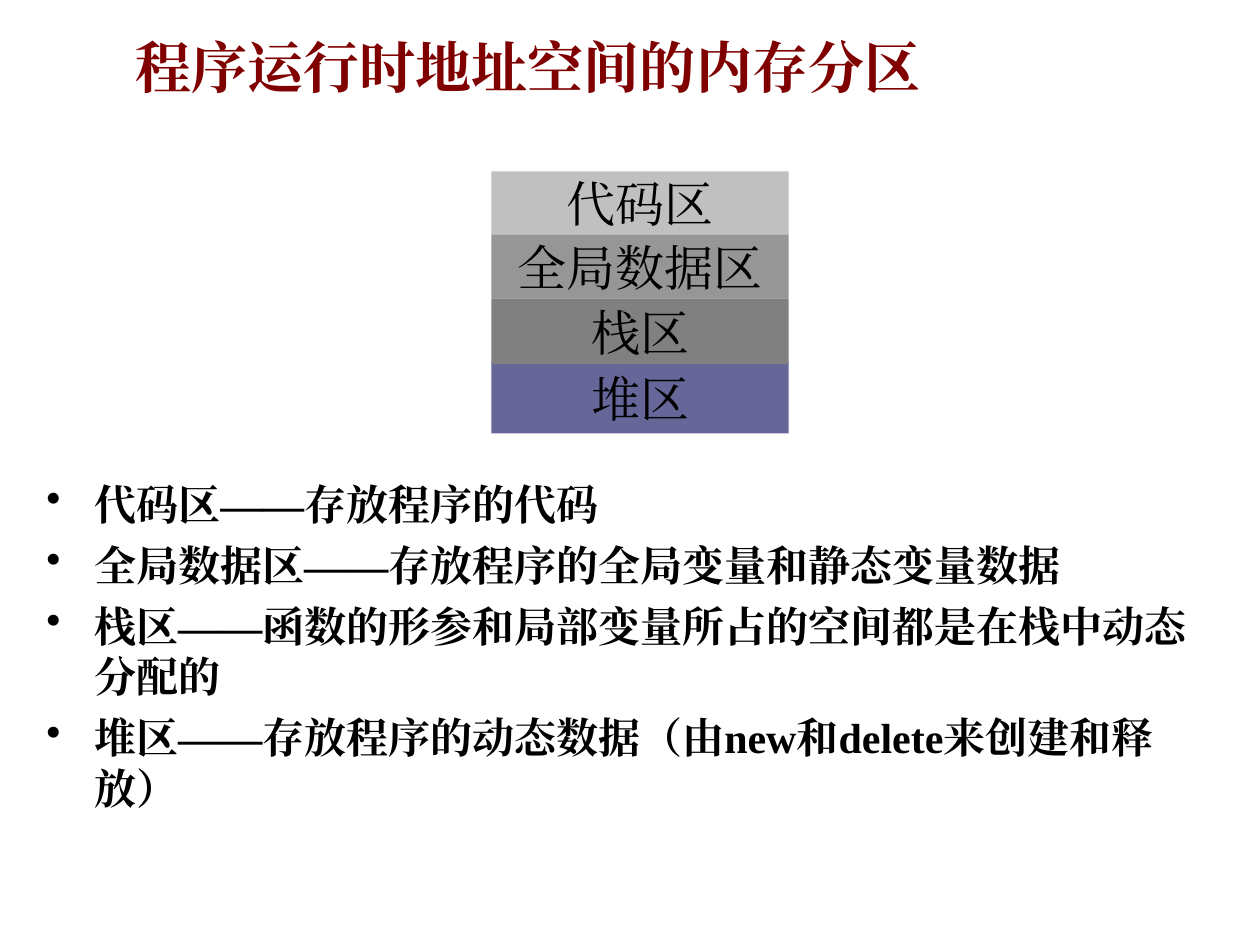
from lxml import etree
from pptx import Presentation
from pptx.dml.color import RGBColor
from pptx.enum.shapes import MSO_SHAPE as SHAPE
from pptx.enum.text import MSO_ANCHOR as ANCHOR, PP_ALIGN as ALIGN
from pptx.oxml.ns import qn
from pptx.util import Inches, Pt

FONT = "Times New Roman"
TITLE = "程序运行时地址空间的内存分区"
REGIONS = [
    ("代码区", 1.36, 0.5, "C0C0C0"),
    ("全局数据区", 1.86, 0.51, "969696"),
    ("堆区", 2.87, 0.57, "666699"),
    ("栈区", 2.37, 0.52, "808080"),
]
NOTES = [
    "代码区——存放程序的代码",
    "全局数据区——存放程序的全局变量和静态变量数据",
    "栈区——函数的形参和局部变量所占的空间都是在栈中动态分配的",
    "堆区——存放程序的动态数据（由new和delete来创建和释放）",
]


def rgb(color):
    """Turn a hex string into a colour."""
    return RGBColor.from_string(color)


def add_run(p, text, size, color="000000", bold=False):
    """Add a styled run, with one font for Latin and Chinese text."""
    r = p.add_run()
    r.text = text
    r.font.size = Pt(size)
    r.font.name = FONT
    r.font.bold = bold
    r.font.color.rgb = rgb(color)
    etree.SubElement(r.font._element, qn("a:ea"), typeface=FONT)


def add_textbox(slide, left, top, width, height):
    """Add a wrapping text box and return its text frame."""
    box = slide.shapes.add_textbox(
        Inches(left), Inches(top), Inches(width), Inches(height))
    box.text_frame.word_wrap = True
    return box.text_frame


def add_bullet(p):
    """Give a paragraph a hanging bullet."""
    pPr = p._p.get_or_add_pPr()
    pPr.set("marL", str(Inches(0.38)))
    pPr.set("indent", str(-Inches(0.38)))
    etree.SubElement(pPr, qn("a:buChar"), char="•")


def add_bullets(slide, notes):
    """Add the bulleted explanations."""
    tf = add_textbox(slide, 0.27, 3.75, 9.4, 3.15)
    for i, note in enumerate(notes):
        p = tf.add_paragraph() if i else tf.paragraphs[0]
        add_bullet(p)
        if i:
            p.space_before = Pt(6)
        add_run(p, note, 24, bold=True)


def add_region(group, label, top, height, fill):
    """Add one memory region to the diagram."""
    sp = group.shapes.add_shape(
        SHAPE.RECTANGLE, Inches(3.9), Inches(top), Inches(2.36), Inches(height))
    sp.shadow.inherit = False
    sp.fill.solid()
    sp.fill.fore_color.rgb = rgb(fill)
    sp.line.fill.background()
    tf = sp.text_frame
    tf.vertical_anchor = ANCHOR.MIDDLE
    p = tf.paragraphs[0]
    p.alignment = ALIGN.CENTER
    add_run(p, label, 28)


def main():
    """Build the slide and save it."""
    prs = Presentation()
    prs.slide_width, prs.slide_height = Inches(10), Inches(7.5)
    slide = prs.slides.add_slide(prs.slide_layouts[6])
    title = add_textbox(slide, 0.98, 0.21, 8.27, 0.52)
    add_run(title.paragraphs[0], TITLE, 32, "800000", bold=True)
    add_bullets(slide, NOTES)
    group = slide.shapes.add_group_shape()
    for region in REGIONS:
        add_region(group, *region)
    prs.save("out.pptx")


if __name__ == "__main__":
    main()
